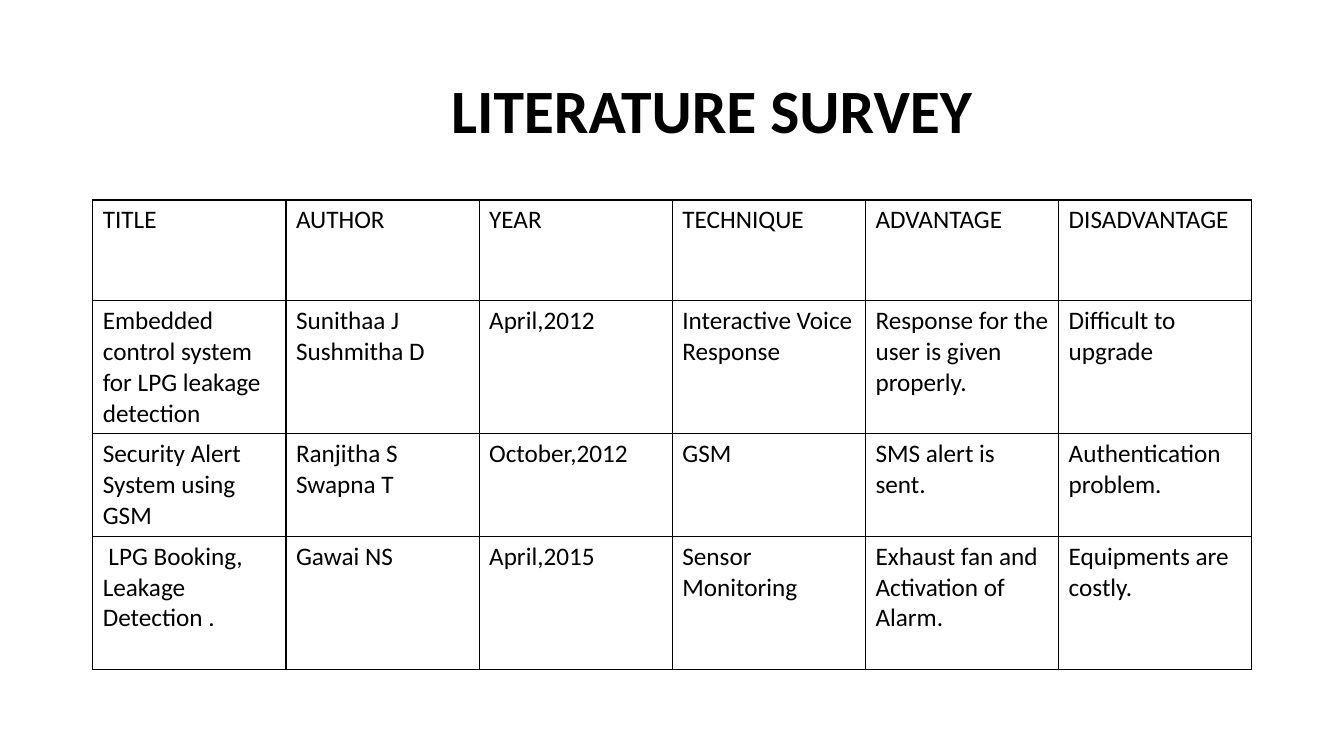
from lxml.etree import SubElement
from pptx import Presentation
from pptx.dml.color import RGBColor
from pptx.enum.text import MSO_ANCHOR, PP_ALIGN
from pptx.oxml.ns import qn
from pptx.util import Pt

BLACK = "000000"
LEFT, WIDTH = 66.24, 828
ROW_HEIGHTS = [72, 95, 73, 95]
SURVEY = [
    ["TITLE", "AUTHOR", "YEAR", "TECHNIQUE", "ADVANTAGE", "DISADVANTAGE"],
    ["Embedded control system for LPG leakage detection", "Sunithaa J\nSushmitha D",
     "April,2012", "Interactive Voice Response",
     "Response for the user is given properly.", "Difficult to upgrade"],
    ["Security Alert System using GSM", "Ranjitha S\nSwapna T",
     "October,2012", "GSM", "SMS alert is sent.", "Authentication problem."],
    [" LPG Booking, Leakage Detection .", "Gawai NS",
     "April,2015", "Sensor Monitoring",
     "Exhaust fan and Activation of Alarm.", "Equipments are costly."],
]


def add_run(paragraph, text, size, bold=False):
    run = paragraph.add_run()
    run.text = text
    run.font.name = "Calibri"
    run.font.size = Pt(size)
    run.font.bold = bold
    run.font.color.rgb = RGBColor.from_string(BLACK)


def add_borders(cell):
    """Draw a 1 pt line on all four sides; call before setting the fill."""
    properties = cell._tc.get_or_add_tcPr()
    for side in ("a:lnL", "a:lnR", "a:lnT", "a:lnB"):
        line = SubElement(properties, qn(side), w=str(Pt(1)))
        fill = SubElement(line, qn("a:solidFill"))
        SubElement(fill, qn("a:srgbClr"), val=BLACK)


presentation = Presentation()
presentation.slide_width = Pt(960)
presentation.slide_height = Pt(540)
slide = presentation.slides.add_slide(presentation.slide_layouts[5])

heading = slide.shapes.title
heading.left, heading.top = Pt(LEFT), Pt(28.8)
heading.width, heading.height = Pt(WIDTH), Pt(104.4)
heading_frame = heading.text_frame
heading_frame.margin_left = Pt(256)
heading_frame.vertical_anchor = MSO_ANCHOR.MIDDLE
heading_line = heading_frame.paragraphs[0]
heading_line.alignment = PP_ALIGN.LEFT
heading_line.line_spacing = 0.9
add_run(heading_line, "LITERATURE SURVEY", 44, bold=True)

survey_table = slide.shapes.add_table(
    len(SURVEY), len(SURVEY[0]), Pt(LEFT), Pt(142.8), Pt(WIDTH), Pt(sum(ROW_HEIGHTS))
).table
survey_table.first_row = False
survey_table.horz_banding = False

for row_index, (entries, height) in enumerate(zip(SURVEY, ROW_HEIGHTS)):
    survey_table.rows[row_index].height = Pt(height)
    for column_index, entry in enumerate(entries):
        cell = survey_table.cell(row_index, column_index)
        add_borders(cell)
        cell.fill.background()
        for line_index, text in enumerate(entry.split("\n")):
            frame = cell.text_frame
            paragraph = frame.add_paragraph() if line_index else frame.paragraphs[0]
            add_run(paragraph, text, 18)

presentation.save("out.pptx")
